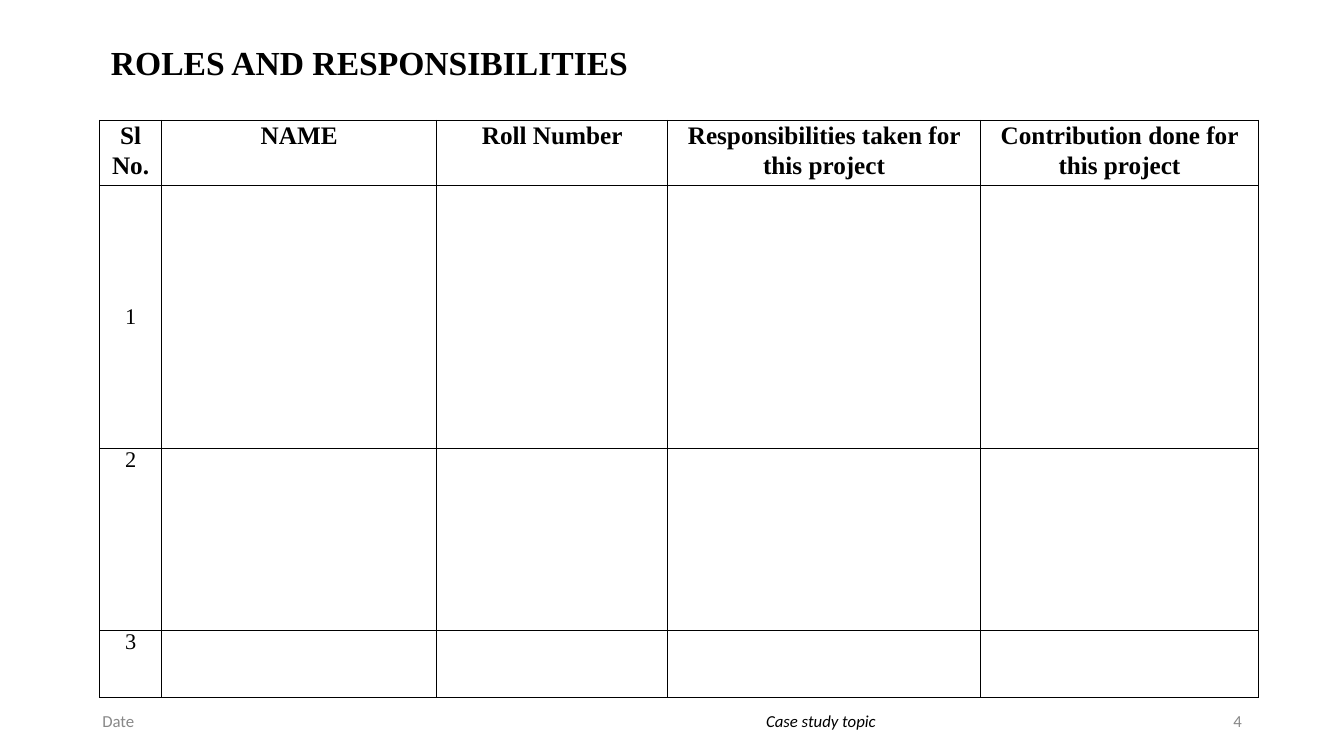
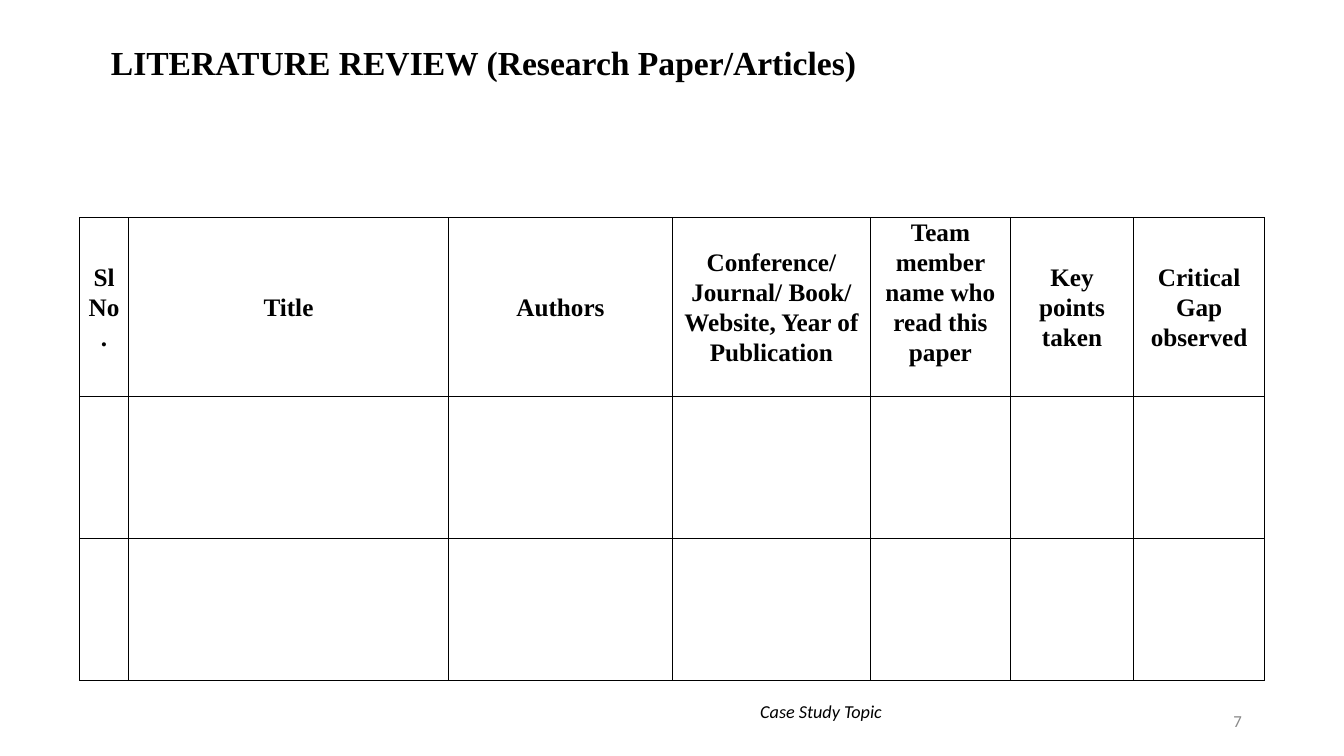
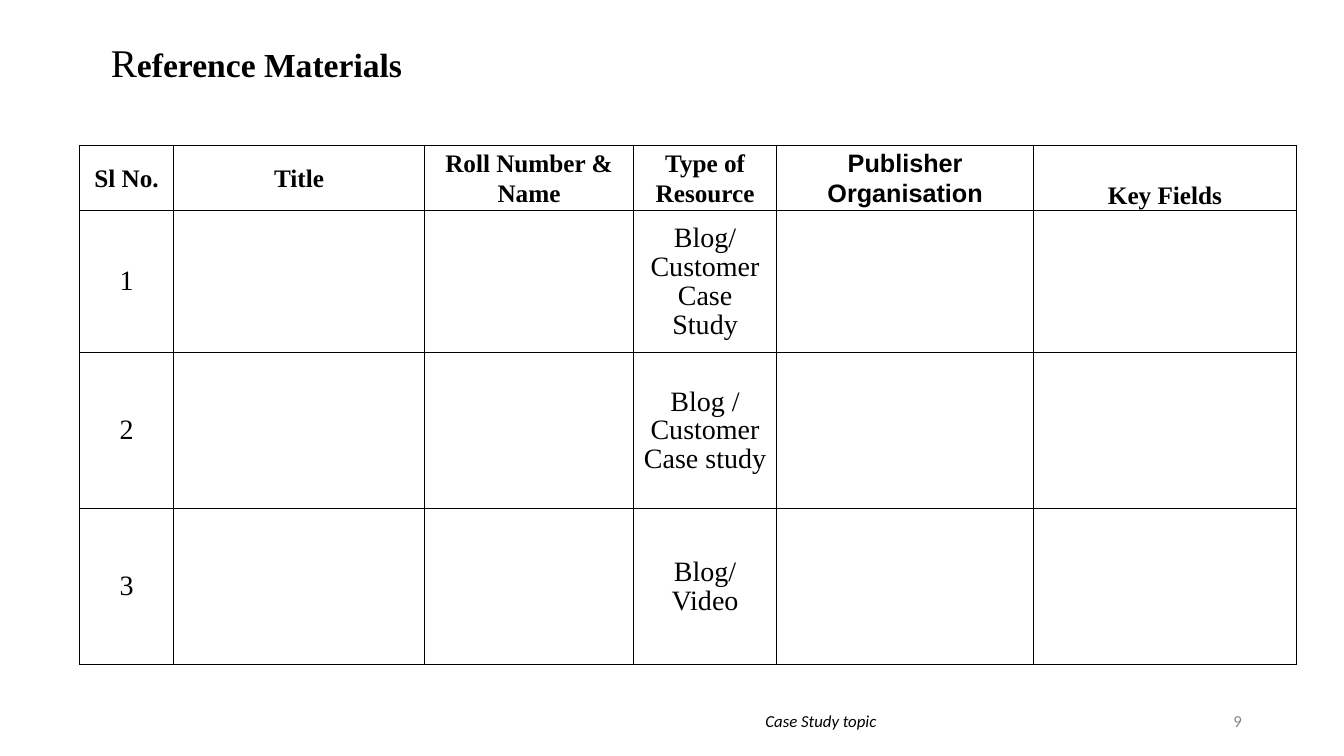
from dataclasses import dataclass

from lxml.etree import SubElement
from pptx import Presentation
from pptx.dml.color import RGBColor
from pptx.enum.text import MSO_ANCHOR, PP_ALIGN
from pptx.oxml.ns import qn
from pptx.util import Pt


@dataclass(frozen=True)
class Theme:
    """Colours, fonts, type sizes and insets (left, top, right, bottom)."""
    ink: str = "000000"
    muted: str = "888888"
    paper: str = "FFFFFF"
    serif: str = "Times New Roman"
    sans: str = "Calibri"
    alternate: str = "Arial"
    title_size: float = 24
    initial_size: float = 28
    header_size: float = 18
    body_size: float = 20
    small_body_size: float = 16
    footer_size: float = 12
    large_footer_size: float = 13
    border: float = 0.75
    box_inset: tuple = (7.2, 3.6, 7.2, 3.6)
    title_inset: tuple = (79.2, 3.6, 7.2, 3.6)
    header_inset: tuple = (5, 0, 5, 0)
    body_inset: tuple = (7.2, 5, 7.2, 3.6)


THEME = Theme()


def write(frame, text, *, size, font=THEME.serif, color=THEME.ink, bold=False,
          italic=False, align=PP_ALIGN.LEFT, spacing=1.0, initial=""):
    """Fill a frame, one paragraph per line; initial is a larger light opening."""
    for index, line in enumerate(text.split("\n")):
        paragraph = frame.paragraphs[0] if index == 0 else frame.add_paragraph()
        paragraph.alignment = align
        paragraph.line_spacing = spacing
        runs = [(line, size, bold)]
        if initial and index == 0:
            runs.insert(0, (initial, THEME.initial_size, False))
        for content, run_size, run_bold in runs:
            run = paragraph.add_run()
            run.text = content
            run.font.name = font
            run.font.size = Pt(run_size)
            run.font.bold = run_bold
            run.font.italic = italic
            run.font.color.rgb = RGBColor.from_string(color)


def set_insets(target, insets):
    """Set the margins of a text frame or a table cell."""
    (target.margin_left, target.margin_top,
     target.margin_right, target.margin_bottom) = map(Pt, insets)


class Deck:
    def __init__(self, theme):
        self.theme = theme
        self.presentation = Presentation()
        self.presentation.slide_width = Pt(960)
        self.presentation.slide_height = Pt(540)
        self.slide = None

    def new_slide(self, title, number, topic, initial="", **topic_format):
        """Start a slide with its title and footer."""
        layout = self.presentation.slide_layouts[6]
        self.slide = self.presentation.slides.add_slide(layout)
        self.text(title, 0, 11, 960, 70, inset=self.theme.title_inset,
                  size=self.theme.title_size, bold=True, spacing=0.9,
                  initial=initial)
        self.footer(topic, 318.2, 536.4, align=PP_ALIGN.CENTER, italic=True,
                    color=self.theme.ink, **topic_format)
        self.footer(number, 678.2, 216, align=PP_ALIGN.RIGHT)

    def text(self, text, left, top, width, height, inset=None, **text_format):
        shape = self.slide.shapes.add_textbox(Pt(left), Pt(top), Pt(width), Pt(height))
        frame = shape.text_frame
        frame.word_wrap = True
        frame.vertical_anchor = MSO_ANCHOR.MIDDLE
        set_insets(frame, inset or self.theme.box_inset)
        write(frame, text, **text_format)

    def footer(self, text, left, width, top=500.4, **text_format):
        style = dict(size=self.theme.footer_size, font=self.theme.sans,
                     color=self.theme.muted)
        self.text(text, left, top, width, 28.8, **(style | text_format))

    def table(self, left, top, widths, heights, cells, special=None,
              header_anchor=MSO_ANCHOR.MIDDLE, body_size=None):
        """Draw a bordered table; special maps (row, column) to its own format."""
        shape = self.slide.shapes.add_table(
            len(heights), len(widths), Pt(left), Pt(top),
            Pt(sum(widths)), Pt(sum(heights)))
        table = shape.table
        table.first_row = table.horz_banding = False
        for column, width in zip(table.columns, widths):
            column.width = Pt(width)
        for row, height in zip(table.rows, heights):
            row.height = Pt(height)

        header = dict(size=self.theme.header_size, bold=True, spacing=1.07,
                      anchor=header_anchor, inset=self.theme.header_inset)
        body = dict(size=body_size or self.theme.body_size, spacing=0.93,
                    anchor=MSO_ANCHOR.MIDDLE, inset=self.theme.body_inset)
        for row in range(len(heights)):
            for column in range(len(widths)):
                cell = table.cell(row, column)
                self.outline(cell)
                cell.fill.solid()
                cell.fill.fore_color.rgb = RGBColor.from_string(self.theme.paper)
                text = cells.get((row, column))
                if text:
                    style = (body if row else header) | (special or {}).get((row, column), {})
                    cell.vertical_anchor = style.pop("anchor")
                    set_insets(cell, style.pop("inset"))
                    write(cell.text_frame, text, align=PP_ALIGN.CENTER, **style)

    def outline(self, cell):
        """Give a cell a thin line on all four sides."""
        properties = cell._tc.get_or_add_tcPr()
        for side in ("a:lnL", "a:lnR", "a:lnT", "a:lnB"):
            line = SubElement(properties, qn(side), w=str(Pt(self.theme.border)))
            fill = SubElement(line, qn("a:solidFill"))
            SubElement(fill, qn("a:srgbClr"), val=self.theme.ink)


def column_cells(column, texts, first_row=1):
    """Place texts down one column."""
    return {(row, column): text for row, text in enumerate(texts, first_row)}


def header_cells(texts):
    """Place texts along the first row."""
    return {(0, column): text for column, text in enumerate(texts)}


def main():
    deck = Deck(THEME)

    # Roles and responsibilities
    deck.new_slide("ROLES AND RESPONSIBILITIES", "4", "Case study topic")
    deck.footer("Date", 66, 216)
    top_cell = dict(anchor=MSO_ANCHOR.TOP, inset=THEME.header_inset)
    deck.table(
        71.2, 86, [44.2, 196.6, 165, 223.4, 198.6], [46.4, 188, 130, 47.8],
        header_cells(["Sl No.", "NAME", "Roll Number",
                      "Responsibilities taken for this project",
                      "Contribution done for this project"])
        | column_cells(0, "123"),
        special={(2, 0): top_cell, (3, 0): top_cell},
        header_anchor=MSO_ANCHOR.TOP, body_size=THEME.small_body_size)

    # Literature review
    deck.new_slide("LITERATURE REVIEW (Research Paper/Articles)", "7",
                   "Case Study Topic", size=THEME.large_footer_size, top=493.8)
    deck.table(
        56.8, 155.4, [35, 228.6, 160, 141.4, 100, 88, 93.6], [128, 101.2, 101.2],
        header_cells(["Sl No.", "Title", "Authors",
                      "Conference/Journal/ Book/ Website, Year of Publication",
                      "Team member name who read this paper",
                      "Key points\ntaken", "Critical\nGap\nobserved"]),
        special={(0, 4): dict(anchor=MSO_ANCHOR.TOP)})

    # Reference materials
    deck.new_slide("eference Materials", "9", "Case Study topic", initial="R")
    deck.table(
        56.8, 104, [67.2, 179.2, 149.4, 102.2, 183.6, 187.6],
        [42.8, 101.4, 111.4, 111.4],
        header_cells(["Sl No.", "Title", "Roll Number & Name", "Type of Resource",
                      "Publisher Organisation", "Key Fields"])
        | column_cells(0, "123")
        | column_cells(3, ["Blog/ Customer Case Study",
                           "Blog / Customer Case study", "Blog/\nVideo"]),
        special={(0, 4): dict(font=THEME.alternate),
                 (0, 5): dict(anchor=MSO_ANCHOR.BOTTOM)})

    deck.presentation.save("out.pptx")


if __name__ == "__main__":
    main()
